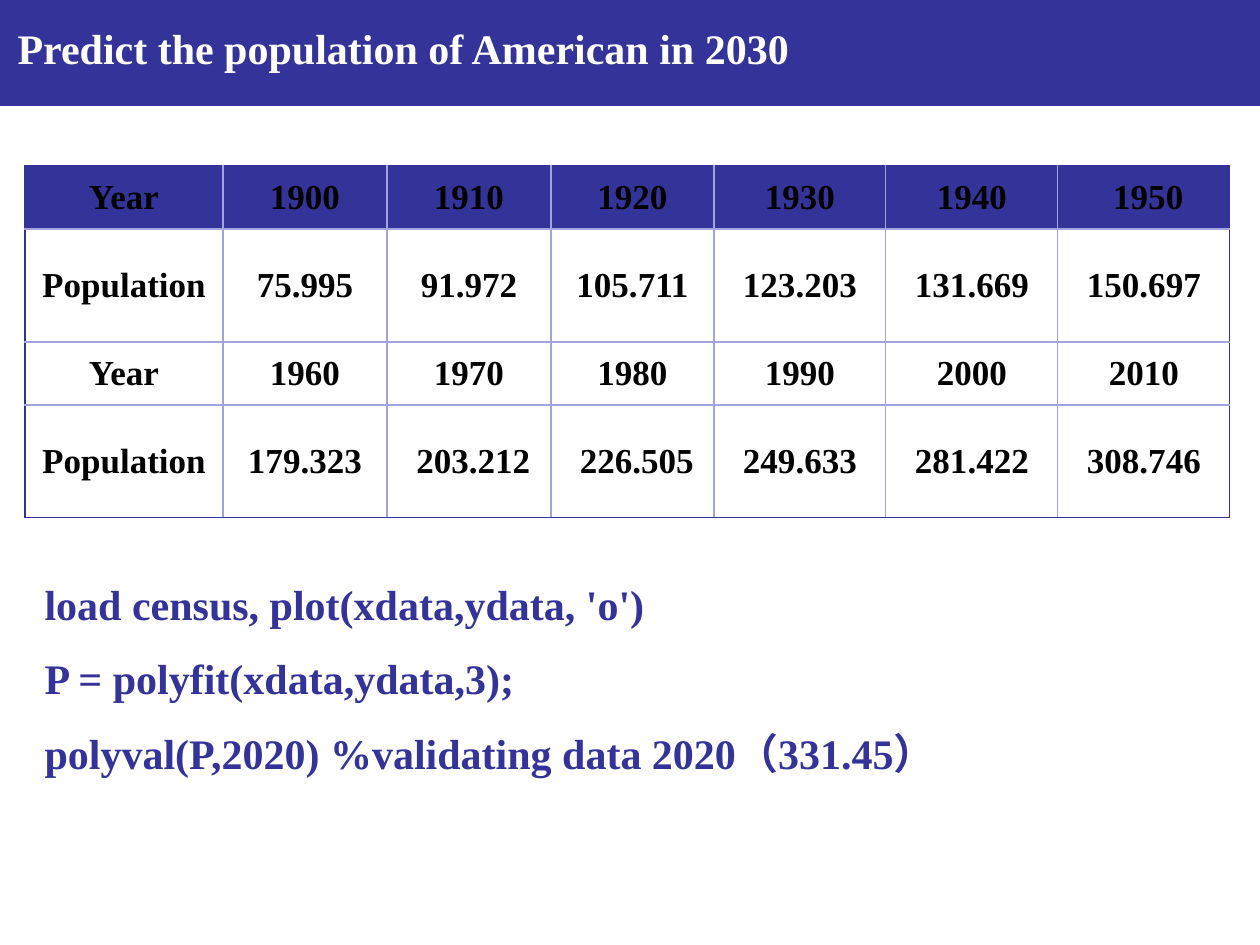
"""Build the slide on predicting the population of American in 2030."""
from dataclasses import dataclass

from lxml.etree import SubElement
from pptx import Presentation
from pptx.dml.color import RGBColor
from pptx.enum.shapes import MSO_SHAPE
from pptx.enum.text import MSO_ANCHOR, MSO_AUTO_SIZE, PP_ALIGN
from pptx.oxml.ns import qn
from pptx.util import Emu, Pt

INDIGO = RGBColor(0x33, 0x33, 0x99)
LAVENDER = RGBColor(0xA3, 0xA3, 0xE0)
WHITE = RGBColor(0xFF, 0xFF, 0xFF)
BLACK = RGBColor(0x00, 0x00, 0x00)
FONT = "Times New Roman"
EMU_PER_INCH = 914400
PX_PER_INCH = 126

COLUMN_WIDTHS = (198, 164, 164, 163, 172, 172, 172)
ROW_HEIGHTS = (63, 113, 63, 113)
CENSUS = (
    ("Year", "1900", "1910", "1920", "1930", "1940", " 1950"),
    ("Population", "75.995", "91.972", "105.711", "123.203", "131.669", "150.697"),
    ("Year", "1960", "1970", "1980", "1990", "2000", "2010"),
    ("Population", "179.323", " 203.212", " 226.505", "249.633", "281.422", "308.746"),
)


@dataclass(frozen=True)
class Box:
    left: int
    top: int
    width: int
    height: int

    def emu(self) -> tuple:
        return tuple(px(n) for n in (self.left, self.top, self.width, self.height))


@dataclass(frozen=True)
class TextBlock:
    box: Box
    lines: tuple
    color: RGBColor


TITLE = TextBlock(Box(5, 16, 1176, 63), ("Predict the population of American in 2030",), WHITE)
COMMANDS = TextBlock(
    Box(32, 572, 935, 217),
    (
        "load census, plot(xdata,ydata, 'o')",
        "P = polyfit(xdata,ydata,3);",
        "polyval(P,2020) %validating data 2020（331.45）",
    ),
    INDIGO,
)


def px(length: int) -> Emu:
    return Emu(round(length * EMU_PER_INCH / PX_PER_INCH))


def set_font(paragraph, size: int, color: RGBColor) -> None:
    paragraph.font.name = FONT
    paragraph.font.size = Pt(size)
    paragraph.font.bold = True
    paragraph.font.color.rgb = color


def fill_placeholder(shape, block: TextBlock) -> None:
    shape.left, shape.top, shape.width, shape.height = block.box.emu()
    frame = shape.text_frame
    frame.text = "\n".join(block.lines)
    frame.word_wrap = True
    frame.auto_size = MSO_AUTO_SIZE.NONE
    frame.vertical_anchor = MSO_ANCHOR.TOP
    for index, paragraph in enumerate(frame.paragraphs):
        paragraph.alignment = PP_ALIGN.LEFT
        paragraph.space_before = Pt(13.8 if index else 0)
        properties = paragraph._p.get_or_add_pPr()
        properties.set("marL", "0")
        properties.set("indent", "0")
        SubElement(properties, qn("a:buNone"))
        set_font(paragraph, 24, block.color)


def add_banner(slide, box: Box) -> None:
    banner = slide.shapes.add_shape(MSO_SHAPE.RECTANGLE, *box.emu())
    banner.shadow.inherit = False
    banner.fill.solid()
    banner.fill.fore_color.rgb = INDIGO
    banner.line.fill.background()
    slide.shapes.title.element.addprevious(banner.element)


def set_border(cell, side: str, color: RGBColor) -> None:
    line = SubElement(cell._tc.get_or_add_tcPr(), qn(f"a:ln{side}"), w=str(Pt(0.75)))
    SubElement(SubElement(line, qn("a:solidFill")), qn("a:srgbClr"), val=str(color))


def format_cell(cell, row: int, column: int) -> None:
    last_row, last_column = len(ROW_HEIGHTS) - 1, len(COLUMN_WIDTHS) - 1
    outer_sides = {
        "L": column == 0,
        "R": column == last_column,
        "T": row == 0,
        "B": row in (0, last_row),
    }
    for side, is_outer in outer_sides.items():
        set_border(cell, side, INDIGO if is_outer else LAVENDER)
    cell.fill.solid()
    cell.fill.fore_color.rgb = WHITE if row else INDIGO
    cell.vertical_anchor = MSO_ANCHOR.MIDDLE
    cell.text = CENSUS[row][column]
    paragraph = cell.text_frame.paragraphs[0]
    paragraph.alignment = PP_ALIGN.CENTER
    set_font(paragraph, 20, BLACK)


def add_census_table(slide, left: int, top: int) -> None:
    box = Box(left, top, sum(COLUMN_WIDTHS), sum(ROW_HEIGHTS))
    table = slide.shapes.add_table(len(ROW_HEIGHTS), len(COLUMN_WIDTHS), *box.emu()).table
    table.first_row = table.horz_banding = False
    for column, width in zip(table.columns, COLUMN_WIDTHS):
        column.width = px(width)
    for row, height in zip(table.rows, ROW_HEIGHTS):
        row.height = px(height)
    for row in range(len(ROW_HEIGHTS)):
        for column in range(len(COLUMN_WIDTHS)):
            format_cell(table.cell(row, column), row, column)


def main() -> None:
    presentation = Presentation()
    presentation.slide_width, presentation.slide_height = px(1260), px(945)
    slide = presentation.slides.add_slide(presentation.slide_layouts[1])
    fill_placeholder(slide.shapes.title, TITLE)
    fill_placeholder(slide.placeholders[1], COMMANDS)
    add_banner(slide, Box(0, 0, 1260, 106))
    add_census_table(slide, 25, 166)
    presentation.save("out.pptx")


if __name__ == "__main__":
    main()
